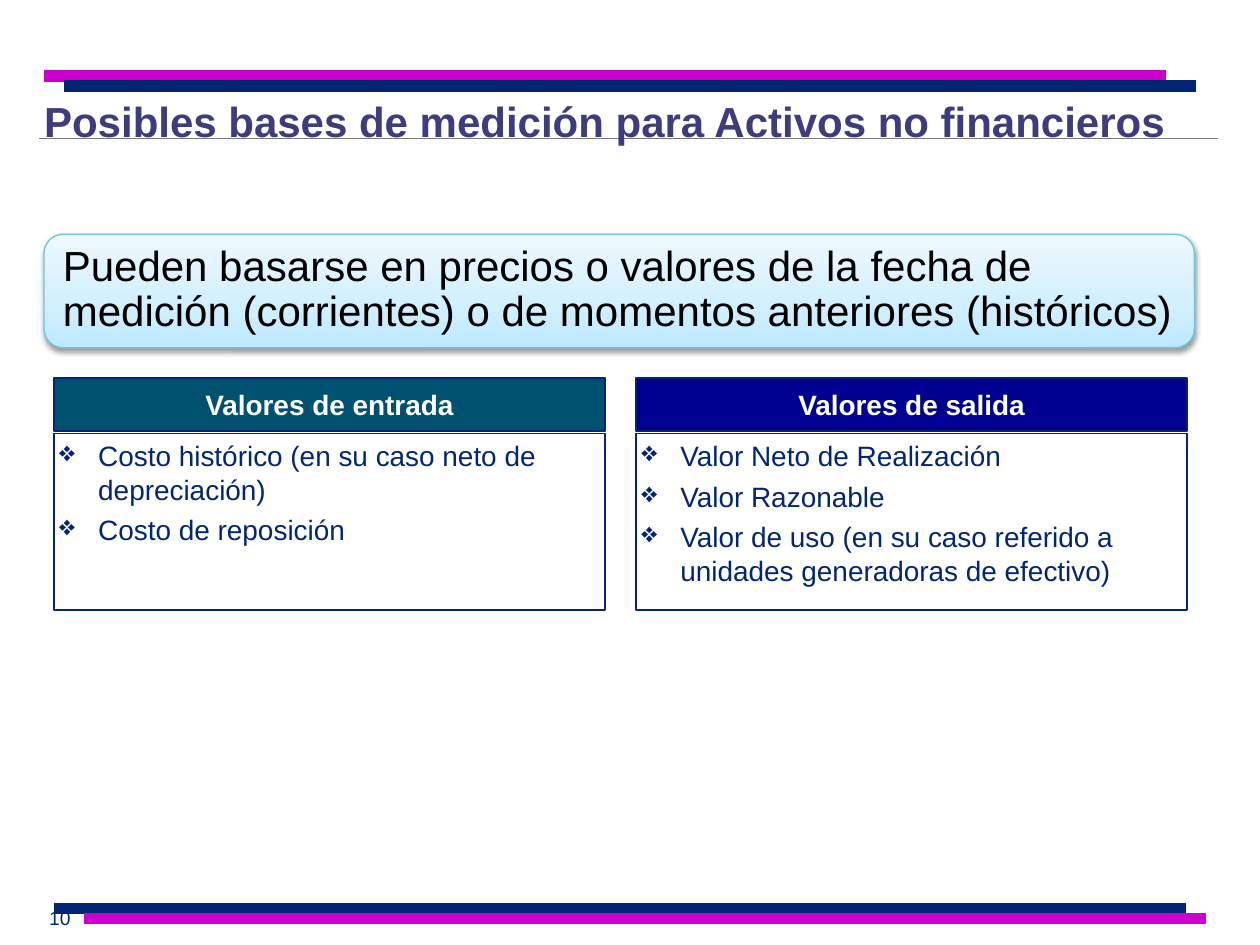
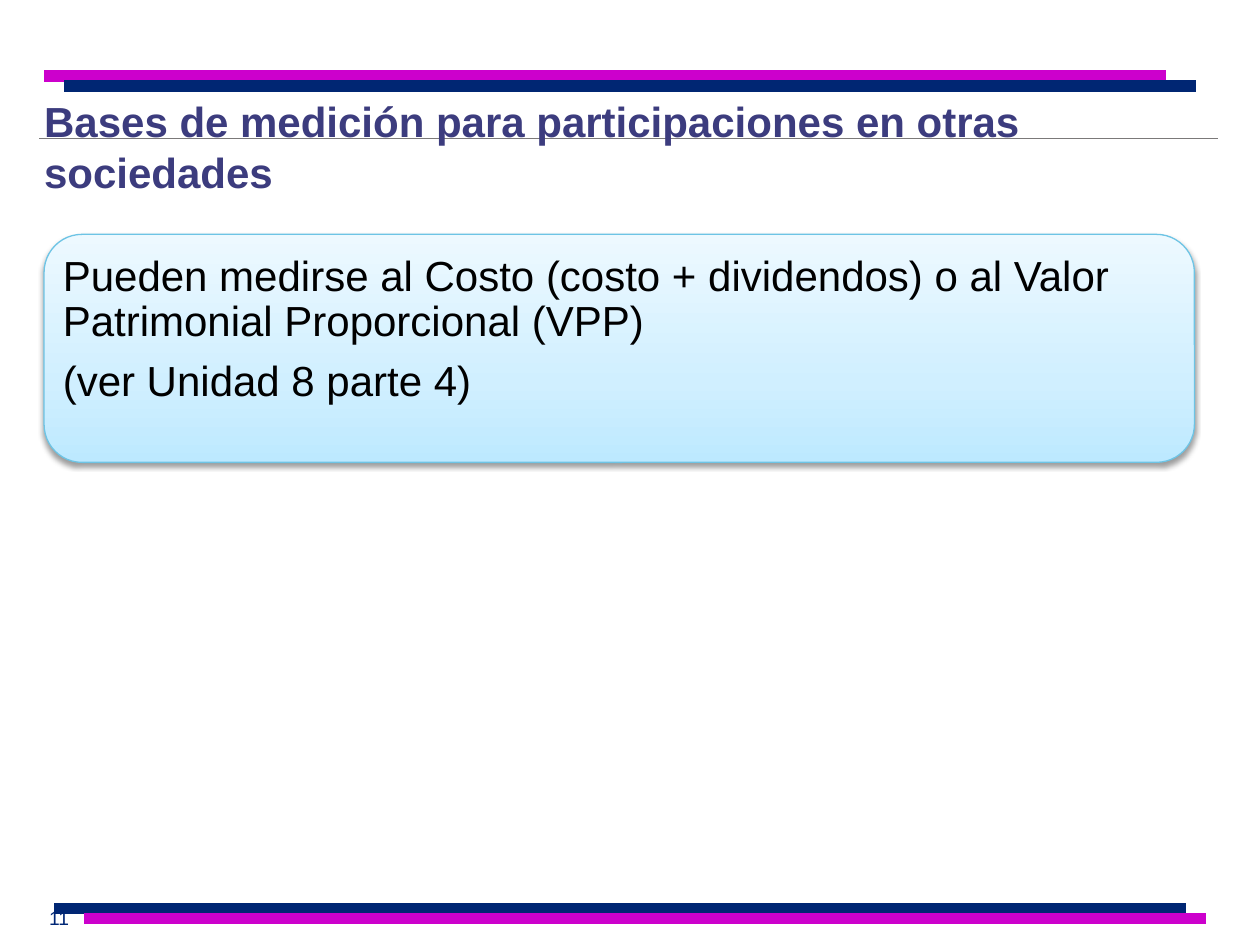
from dataclasses import dataclass

from lxml import etree
from pptx import Presentation
from pptx import util as u
from pptx.dml.color import RGBColor
from pptx.enum import shapes, text
from pptx.oxml import ns

FONT = "Arial"
WHITE = RGBColor(0xFF, 0xFF, 0xFF)
BLACK = RGBColor(0x00, 0x00, 0x00)
NAVY = RGBColor(0x00, 0x27, 0x76)
BAND_NAVY = RGBColor(0x00, 0x26, 0x73)
MAGENTA = RGBColor(0xCC, 0x00, 0xCC)
TITLE_PURPLE = RGBColor(0x3C, 0x3C, 0x7E)
RULE_GRAY = RGBColor(0x7B, 0x79, 0x79)
ENTRY_TEAL = RGBColor(0x00, 0x50, 0x6F)
EXIT_BLUE = RGBColor(0x00, 0x00, 0x90)
CALLOUT_LINE = RGBColor(0x6D, 0xC4, 0xE5)
CALLOUT_STOPS = [
    (0, RGBColor(0xBD, 0xE9, 0xFF)),
    (35, RGBColor(0xD0, 0xEF, 0xFF)),
    (100, RGBColor(0xED, 0xF9, 0xFF)),
]

SLIDE_WIDTH, SLIDE_HEIGHT = u.Inches(10), u.Inches(7.5)
COLUMNS, ROWS = 100, 75
COLUMN, ROW = SLIDE_WIDTH / COLUMNS, SLIDE_HEIGHT / ROWS


@dataclass
class Box:
    left: float
    top: float
    width: float
    height: float

    def place(self):
        return (
            u.Emu(round(self.left * COLUMN)),
            u.Emu(round(self.top * ROW)),
            u.Emu(round(self.width * COLUMN)),
            u.Emu(round(self.height * ROW)),
        )


TITLE_BOX = Box(3.5, 7.6, 93.6, 6.9)
TOP_BANDS = Box(3.5, 6, 91.4, 0.8)
BOTTOM_BANDS = Box(4.3, 72.1, 91.4, 0.8)
NUMBER_BOX = Box(3.9, 71.9, 3.9, 1.3)


def add_child(parent, tag, **attributes):
    return etree.SubElement(parent, ns.qn(tag), attributes)


def style_paragraph(paragraph, size, color, bold=False, align=text.PP_ALIGN.LEFT):
    paragraph.alignment = align
    font = paragraph.font
    font.name, font.size, font.bold = FONT, u.Pt(size), bold
    font.color.rgb = color


def set_frame(frame, margin=0.0, anchor=text.MSO_ANCHOR.TOP):
    frame.word_wrap = True
    frame.auto_size = text.MSO_AUTO_SIZE.NONE
    frame.vertical_anchor = anchor
    frame.margin_left = frame.margin_right = u.Inches(margin)
    frame.margin_top = frame.margin_bottom = u.Inches(margin)


def fill_frame(frame, lines):
    frame.text = "\n".join(lines)
    return frame.paragraphs


def add_line(slide, left, top, width, color, weight):
    x, y, length, _ = Box(left, top, width, 0).place()
    line = slide.shapes.add_connector(shapes.MSO_CONNECTOR.STRAIGHT, x, y, x + length, y)
    line.line.color.rgb = color
    line.line.width = u.Pt(weight)
    add_child(line.element.spPr, "a:effectLst")
    return line


def add_bands(slide, box, colors, widths, shift):
    for index, (color, width) in enumerate(zip(colors, widths)):
        add_line(slide, box.left + index * shift, box.top + index * box.height, width, color, 6.75)


def add_title(slide, box, wording):
    title = slide.shapes.title
    title.left, title.top, title.width, title.height = box.place()
    set_frame(title.text_frame)
    paragraph = fill_frame(title.text_frame, [wording])[0]
    paragraph.space_after = u.Pt(3)
    style_paragraph(paragraph, 24, TITLE_PURPLE, bold=True)
    rule = add_line(slide, box.left - 0.4, box.top + 3.4, box.width, RULE_GRAY, 1)
    title.element.addprevious(rule.element)


def add_number(slide, box, number):
    frame = slide.shapes.add_textbox(*box.place()).text_frame
    set_frame(frame)
    style_paragraph(fill_frame(frame, [str(number)])[0], 11, NAVY)


def add_frame_lines(slide):
    add_bands(slide, BOTTOM_BANDS, [BAND_NAVY, MAGENTA], [89.8, 89], 2.4)
    add_bands(slide, TOP_BANDS, [MAGENTA, BAND_NAVY], [89, 89.8], 1.6)


def add_callout(slide, box, lines, text_height):
    panel = slide.shapes.add_shape(shapes.MSO_SHAPE.ROUNDED_RECTANGLE, *box.place())
    properties = panel.element.spPr
    gradient = add_child(properties, "a:gradFill", rotWithShape="1")
    stops = add_child(gradient, "a:gsLst")
    for position, color in CALLOUT_STOPS:
        stop = add_child(stops, "a:gs", pos=str(position * 1000))
        add_child(stop, "a:srgbClr", val=str(color))
    add_child(gradient, "a:lin", ang=str(270 * 60000), scaled="0")
    panel.line.color.rgb = CALLOUT_LINE
    panel.line.width = u.Pt(0.75)
    shadow = add_child(
        add_child(properties, "a:effectLst"), "a:outerShdw",
        blurRad=str(u.Pt(3.1)), dist=str(u.Pt(1.6)), dir=str(90 * 60000), rotWithShape="0",
    )
    shade = add_child(shadow, "a:srgbClr", val=str(BLACK))
    add_child(shade, "a:alpha", val="38000")

    text_box = Box(box.left + 0.5, box.top + 0.4, box.width - 0.8, text_height)
    frame = slide.shapes.add_textbox(*text_box.place()).text_frame
    set_frame(frame, 0.1, text.MSO_ANCHOR.MIDDLE)
    for paragraph in fill_frame(frame, lines):
        paragraph.line_spacing = 0.9
        paragraph.space_after = u.Pt(8.4)
        style_paragraph(paragraph, 24, BLACK)


def add_panel(slide, box):
    panel = slide.shapes.add_shape(shapes.MSO_SHAPE.RECTANGLE, *box.place())
    panel.shadow.inherit = False
    panel.fill.background()
    panel.line.color.rgb = NAVY
    panel.line.width = u.Pt(1)
    set_frame(panel.text_frame, 0.04)
    return panel


def add_value_card(slide, box, heading, color, items):
    header_height, gap = 4.2, 0.2
    header = add_panel(slide, Box(box.left, box.top, box.width, header_height))
    header.fill.solid()
    header.fill.fore_color.rgb = color
    header.text_frame.vertical_anchor = text.MSO_ANCHOR.MIDDLE
    paragraph = fill_frame(header.text_frame, [heading])[0]
    style_paragraph(paragraph, 16, WHITE, bold=True, align=text.PP_ALIGN.CENTER)

    offset = header_height + gap
    body = add_panel(slide, Box(box.left, box.top + offset, box.width, box.height - offset))
    for index, paragraph in enumerate(fill_frame(body.text_frame, items)):
        if index:
            paragraph.space_before = u.Pt(4)
        properties = paragraph._p.get_or_add_pPr()
        indent = u.Inches(0.31)
        properties.set("marL", str(indent))
        properties.set("indent", str(-indent))
        add_child(properties, "a:buChar", char="❖")
        style_paragraph(paragraph, 16, NAVY)


def add_value_cards(slide, box, cards, gap):
    width = (box.width - gap * (len(cards) - 1)) / len(cards)
    for index, card in enumerate(cards):
        left = box.left + index * (width + gap)
        add_value_card(slide, Box(left, box.top, width, box.height), *card)


def start_slide(presentation, wording, number):
    slide = presentation.slides.add_slide(presentation.slide_layouts[5])
    add_title(slide, TITLE_BOX, wording)
    add_number(slide, NUMBER_BOX, number)
    return slide


def build_asset_bases(presentation):
    slide = start_slide(presentation, "Posibles bases de medición para Activos no financieros", 10)
    add_callout(slide, Box(3.5, 18.6, 91.3, 9), [
        "Pueden basarse en precios o valores de la fecha de medición (corrientes) "
        "o de momentos anteriores (históricos)",
    ], 8.1)
    add_value_cards(slide, Box(4.3, 30, 89.9, 18.4), [
        ("Valores de entrada", ENTRY_TEAL, [
            "Costo histórico (en su caso neto de depreciación)",
            "Costo de reposición",
        ]),
        ("Valores de salida", EXIT_BLUE, [
            "Valor Neto de Realización",
            "Valor Razonable",
            "Valor de uso (en su caso referido a unidades generadoras de efectivo)",
        ]),
    ], 2.5)
    add_frame_lines(slide)


def build_holding_bases(presentation):
    slide = start_slide(presentation, "Bases de medición para participaciones en otras sociedades", 11)
    add_callout(slide, Box(3.5, 18.6, 91.3, 18.1), [
        "Pueden medirse al Costo (costo + dividendos) o al Valor Patrimonial Proporcional (VPP)",
        "(ver Unidad 8 parte 4)",
    ], 14.4)
    add_frame_lines(slide)


def main():
    presentation = Presentation()
    presentation.slide_width, presentation.slide_height = SLIDE_WIDTH, SLIDE_HEIGHT
    build_asset_bases(presentation)
    build_holding_bases(presentation)
    presentation.save("out.pptx")


if __name__ == "__main__":
    main()
